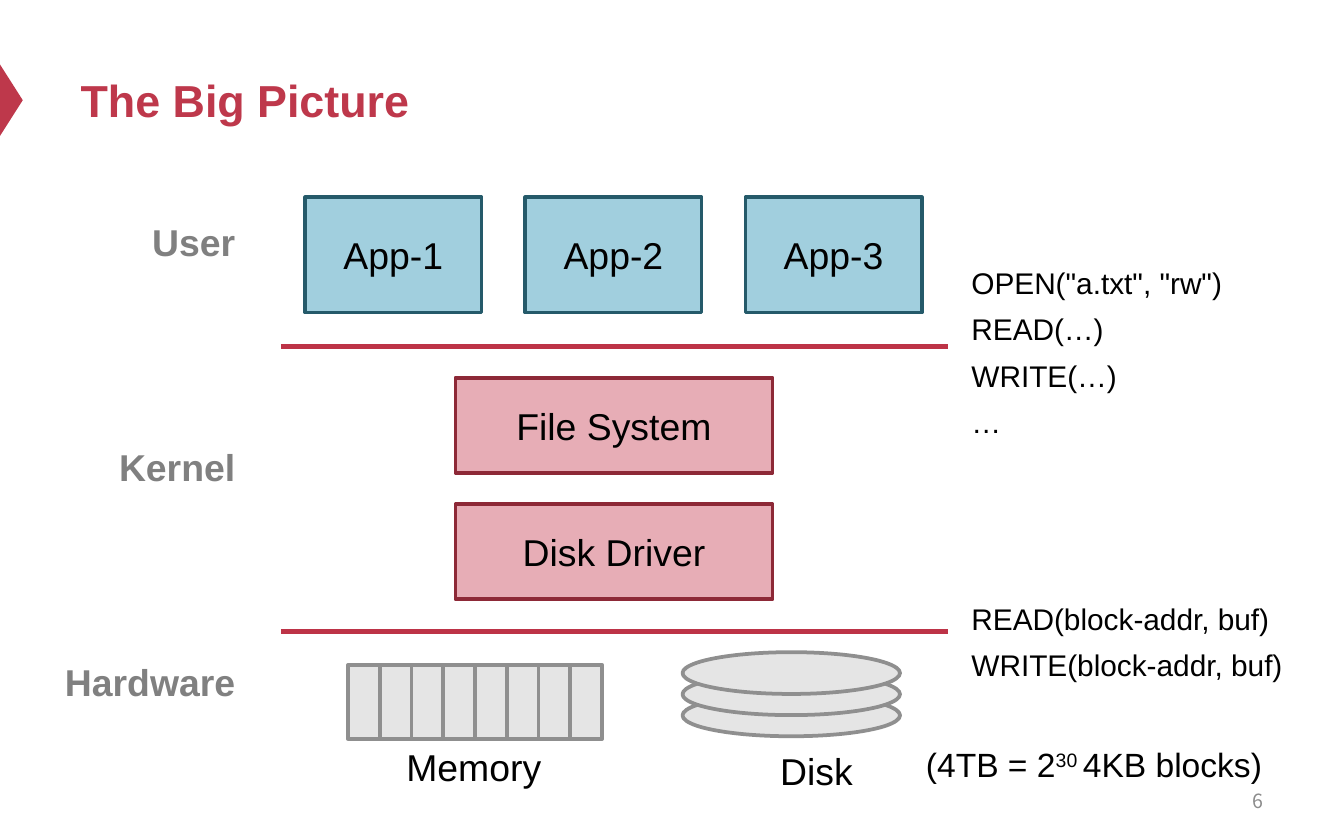
import pptx
import pptx.dml.color
import pptx.enum.shapes
import pptx.enum.text
import pptx.oxml
import pptx.oxml.ns
import pptx.util

Cm = pptx.util.Cm
Pt = pptx.util.Pt
RGB = pptx.dml.color.RGBColor.from_string
SHAPE = pptx.enum.shapes.MSO_SHAPE
ALIGN = pptx.enum.text.PP_ALIGN
MIDDLE = pptx.enum.text.MSO_ANCHOR.MIDDLE
COLORS = {
    "accent": "BE384B", "divider": "BD3347", "text": "000000",
    "layer": "808080", "number": "8C8C8C",
    "app": "A1CFDE", "app_line": "255A6A",
    "kernel": "E7ADB6", "kernel_line": "8D2937",
    "hardware": "E5E5E5", "hardware_line": "8F8F8F",
}

prs = pptx.Presentation()
prs.slide_width, prs.slide_height = Cm(25.4), Cm(15.88)
s = prs.slides.add_slide(prs.slide_layouts[5])


def write(tf, lines, size, color="text", align=ALIGN.LEFT, spacing=None, bold=False, name="Arial"):
    font_format = {"name": name, "size": Pt(size), "bold": bold}
    for i, line in enumerate(lines):
        p = tf.add_paragraph() if i else tf.paragraphs[0]
        p.alignment, p.line_spacing = align, spacing
        for j, text in enumerate(line.split("^")):
            r = p.add_run()
            r.text = text
            for key, value in font_format.items():
                setattr(r.font, key, value)
            r.font.color.rgb = RGB(COLORS[color])
            if j % 2:
                r.font._element.set("baseline", "30000")


def block(kind, style, x, y, w, h, text=None):
    sp = s.shapes.add_shape(kind, Cm(x), Cm(y), Cm(w), Cm(h))
    sp.shadow.inherit = False
    sp.fill.solid()
    sp.fill.fore_color.rgb = RGB(COLORS[style])
    if style + "_line" in COLORS:
        sp.line.color.rgb = RGB(COLORS[style + "_line"])
        sp.line.width = Pt(2)
    else:
        sp.line.fill.background()
    if text:
        sp.text_frame.vertical_anchor = MIDDLE
        write(sp.text_frame, [text], 20, align=ALIGN.CENTER)
    return sp


block(SHAPE.ISOSCELES_TRIANGLE, "accent", -0.46, 1.68, 1.35, 0.43).rotation = 90

title = s.shapes.title
title_format = {"left": Cm(1.27), "top": Cm(0.64), "width": Cm(22.86), "height": Cm(2.49)}
for key, value in title_format.items():
    setattr(title, key, value)
title.text_frame.vertical_anchor = MIDDLE
write(title.text_frame, ["The Big Picture"], 24, "accent", bold=True)

for y in (6.55, 11.94):
    line = s.shapes.add_connector(
        pptx.enum.shapes.MSO_CONNECTOR.STRAIGHT, Cm(5.31), Cm(y), Cm(17.91), Cm(y))
    line.line.color.rgb = RGB(COLORS["divider"])
    line.line.width = Pt(2.25)
    line._element.spPr.append(pptx.oxml.parse_xml(
        "<a:effectLst %s/>" % pptx.oxml.ns.nsdecls("a")))

for i in range(3):
    block(SHAPE.RECTANGLE, "app", 5.77 + 4.16 * i, 3.73, 3.33, 2.18, f"App-{i + 1}")
for i, text in enumerate(["File System", "Disk Driver"]):
    block(SHAPE.RECTANGLE, "kernel", 8.61, 7.14 + 2.39 * i, 5.99, 1.8, text)
for i in range(8):
    block(SHAPE.RECTANGLE, "hardware", 6.58 + 0.6 * i, 12.57, 0.6, 1.4)
for i in range(3):
    block(SHAPE.OVAL, "hardware", 12.9, 13.13 - 0.4 * i, 4.11, 0.79)

layer = {"size": 20, "color": "layer", "align": ALIGN.RIGHT, "bold": True}
device = {"size": 20, "align": ALIGN.CENTER}
calls = {"size": 16, "spacing": 1.3}
labels = [
    (["User"], 2.59, 4.01, 2.11, 1.12, layer),
    (["Kernel"], 1.96, 8.28, 2.74, 1.12, layer),
    (["Hardware"], 0.94, 12.34, 3.76, 1.12, layer),
    (["Memory"], 7.42, 13.94, 3.07, 1.12, device),
    (["Disk"], 14.48, 14.02, 1.9, 1.12, device),
    (['OPEN("a.txt", "rw")', "READ(…)", "WRITE(…)", "…"], 18.11, 4.67, 5.31, 3.71, calls),
    (["READ(block-addr, buf)", "WRITE(block-addr, buf)"], 18.11, 11.02, 6.48, 1.93, calls),
    (["(4TB = 2^30 ^4KB blocks)"], 17.25, 13.94, 7.06, 1.02, {"size": 18}),
]
for lines, x, y, w, h, text_format in labels:
    tf = s.shapes.add_textbox(Cm(x), Cm(y), Cm(w), Cm(h)).text_frame
    tf.word_wrap = False
    tf.auto_size = pptx.enum.text.MSO_AUTO_SIZE.SHAPE_TO_FIT_TEXT
    write(tf, lines, **text_format)

tf = s.shapes.add_textbox(Cm(18.21), Cm(14.71), Cm(5.92), Cm(0.84)).text_frame
tf.word_wrap = True
tf.vertical_anchor = MIDDLE
write(tf, ["6"], 10.5, "number", ALIGN.RIGHT, name="Noto Sans CJK SC")

prs.save("out.pptx")
